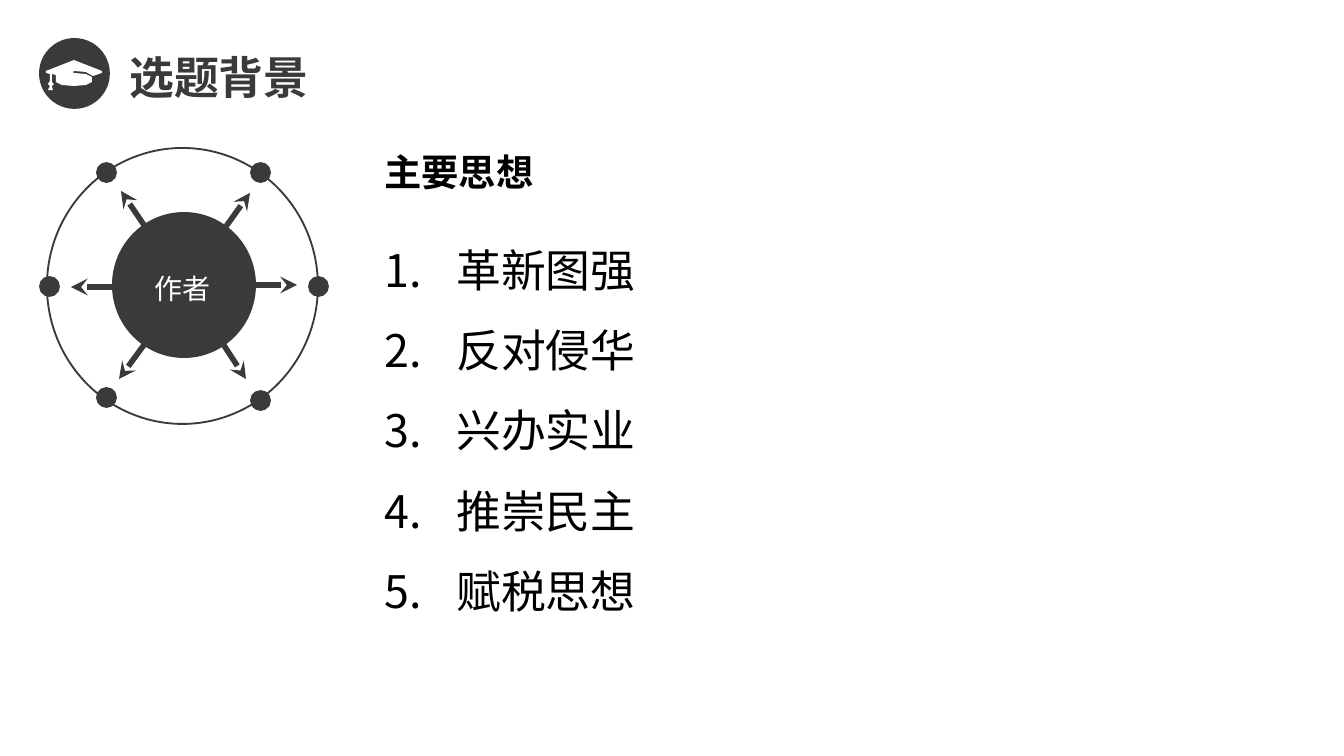
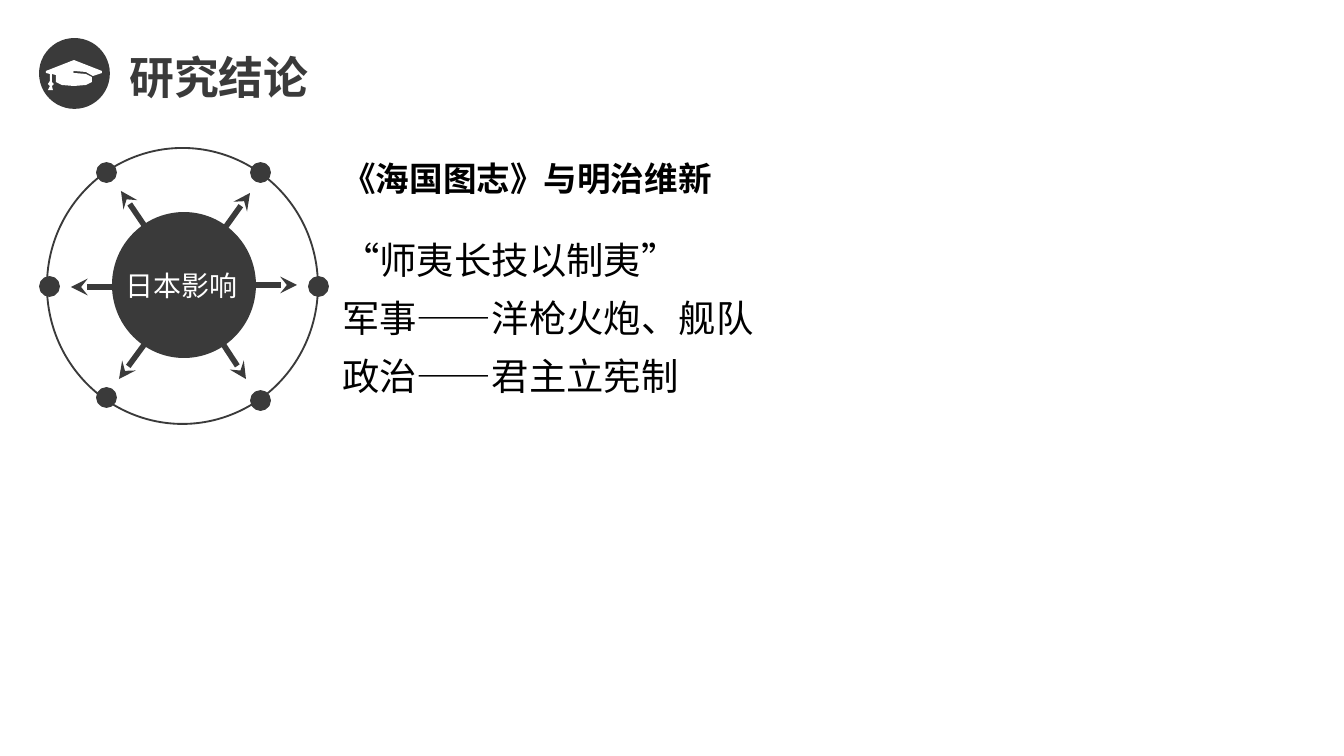
from dataclasses import dataclass

from lxml.etree import SubElement
from pptx import Presentation
from pptx.dml.color import RGBColor
from pptx.enum.lang import MSO_LANGUAGE_ID as Language
from pptx.enum.shapes import MSO_CONNECTOR as Connector, MSO_SHAPE as Shape
from pptx.enum.text import MSO_ANCHOR as Anchor, MSO_AUTO_SIZE as AutoSize, PP_ALIGN as Align
from pptx.oxml.ns import qn
from pptx.util import Emu, Pt

PX = Emu(6804)  # 1344 px make a 10 inch slide


@dataclass(frozen=True)
class Theme:
    dark: RGBColor = RGBColor(0x3A, 0x3A, 0x3A)
    black: RGBColor = RGBColor(0, 0, 0)
    white: RGBColor = RGBColor(255, 255, 255)
    latin: str = "Arial"
    chinese: str = "Noto Sans CJK SC"
    title: int = 24
    label: int = 15
    thin: int = 1
    thick: int = 3


theme = Theme()

pages = [
    dict(
        title="选题背景",
        label="作者", label_at=(141, 265, 83, 47),
        heading="主要思想", heading_at=(371, 142, 177, 59), heading_size=20,
        lines=["革新图强", "反对侵华", "兴办实业", "推崇民主", "赋税思想"],
        body_at=(371, 204, 926, 421), body_font=theme.latin,
        body_size=24, pitch=43, number_indent=72,
    ),
    dict(
        title="研究结论",
        label="日本影响", label_at=(112, 262, 140, 47),
        heading="《海国图志》与明治维新", heading_at=(329, 151, 401, 54), heading_size=18,
        lines=["“师夷长技以制夷”", "军事——洋枪火炮、舰队", "政治——君主立宪制"],
        body_at=(329, 212, 775, 190), body_font=theme.chinese,
        body_size=20, pitch=31, number_indent=0,
    ),
]

dots = [(251, 163), (97, 163), (40, 277), (309, 277), (251, 391), (97, 388)]
spokes = [
    (184, 285, 250, 193), (183, 285, 297, 285), (184, 284, 121, 191),
    (183, 287, 71, 287), (185, 289, 119, 379), (187, 289, 246, 379),
]
cap = [
    (46, 71), (74, 60), (102, 71), (102, 73), (93, 76), (86, 72), (74, 71),
    (73, 72), (74, 73), (86, 74), (92, 77), (92, 82), (86, 85), (74, 86),
    (62, 85), (56, 82), (56, 75), (52, 74), (52, 82), (54, 84), (52, 86),
    (53, 90), (48, 90), (50, 86), (48, 84), (50, 81), (50, 74), (46, 73),
]


def add_ellipse(page, at, fill=None, line=None):
    ellipse = page.shapes.add_shape(Shape.OVAL, *(n * PX for n in at))
    ellipse.shadow.inherit = False
    if fill is None:
        ellipse.fill.background()
    else:
        ellipse.fill.solid()
        ellipse.fill.fore_color.rgb = fill
    if line is None:
        ellipse.line.fill.background()
    else:
        ellipse.line.color.rgb = line
        ellipse.line.width = Pt(theme.thin)


def set_text(box, at, lines, size, color, font=theme.chinese, bold=False,
             wrap=False, pitch=None, number_indent=0):
    """Place a box and fill it; number_indent turns the lines into a numbered list."""
    box.left, box.top, box.width, box.height = (n * PX for n in at)
    frame = box.text_frame
    frame.word_wrap = wrap
    frame.auto_size = AutoSize.NONE
    frame.vertical_anchor = Anchor.TOP if pitch else Anchor.MIDDLE
    if pitch:
        frame.margin_top = 12 * PX
    frame.text = "\n".join(lines)
    for para in frame.paragraphs:
        para.alignment = Align.LEFT
        if pitch:
            para.line_spacing = Pt(pitch)
        if number_indent:
            props = para._p.get_or_add_pPr()
            props.set("marL", str(number_indent * PX))
            props.set("indent", str(-number_indent * PX))
            SubElement(props, qn("a:buFont"), typeface=theme.latin)
            SubElement(props, qn("a:buAutoNum"), type="arabicPeriod")
        para.font.size = Pt(size)
        para.font.bold = bold
        para.font.color.rgb = color
        para.font.name = font
        para.font.language_id = Language.SIMPLIFIED_CHINESE
        SubElement(para.font._rPr, qn("a:ea"), typeface=theme.chinese)


deck = Presentation()
deck.slide_width, deck.slide_height = 1344 * PX, 756 * PX

for content in pages:
    page = deck.slides.add_slide(deck.slide_layouts[5])
    set_text(page.shapes.title, (116, 42, 253, 69), [content["title"]],
             theme.title, theme.dark, font=theme.latin, bold=True, wrap=True)

    # Orbit: ring, dots, arrows and hub
    add_ellipse(page, (47, 148, 271, 276), line=theme.dark)
    for left, top in dots:
        add_ellipse(page, (left, top, 19, 19), theme.dark, theme.dark)
    for ends in spokes:
        spoke = page.shapes.add_connector(Connector.STRAIGHT, *(n * PX for n in ends))
        spoke.line.color.rgb = theme.dark
        spoke.line.width = Pt(theme.thick)
        SubElement(spoke.line._get_or_add_ln(), qn("a:tailEnd"), type="stealth")
        SubElement(spoke._element.spPr, qn("a:effectLst"))
    add_ellipse(page, (112, 212, 144, 146), theme.dark)
    set_text(page.shapes.add_textbox(0, 0, 0, 0), content["label_at"],
             [content["label"]], theme.label, theme.white)

    # Heading and body
    set_text(page.shapes.add_textbox(0, 0, 0, 0), content["heading_at"],
             [content["heading"]], content["heading_size"], theme.black, bold=True)
    set_text(page.shapes.add_textbox(0, 0, 0, 0), content["body_at"], content["lines"],
             content["body_size"], theme.black, font=content["body_font"], wrap=True,
             pitch=content["pitch"], number_indent=content["number_indent"])

    # Badge with graduation cap
    add_ellipse(page, (40, 39, 69, 69), theme.dark, theme.dark)
    outline = page.shapes.build_freeform(*cap[0], scale=PX)
    outline.add_line_segments(cap[1:], close=True)
    cap_shape = outline.convert_to_shape()
    cap_shape.shadow.inherit = False
    cap_shape.fill.solid()
    cap_shape.fill.fore_color.rgb = theme.white
    cap_shape.line.fill.background()

deck.save("out.pptx")
